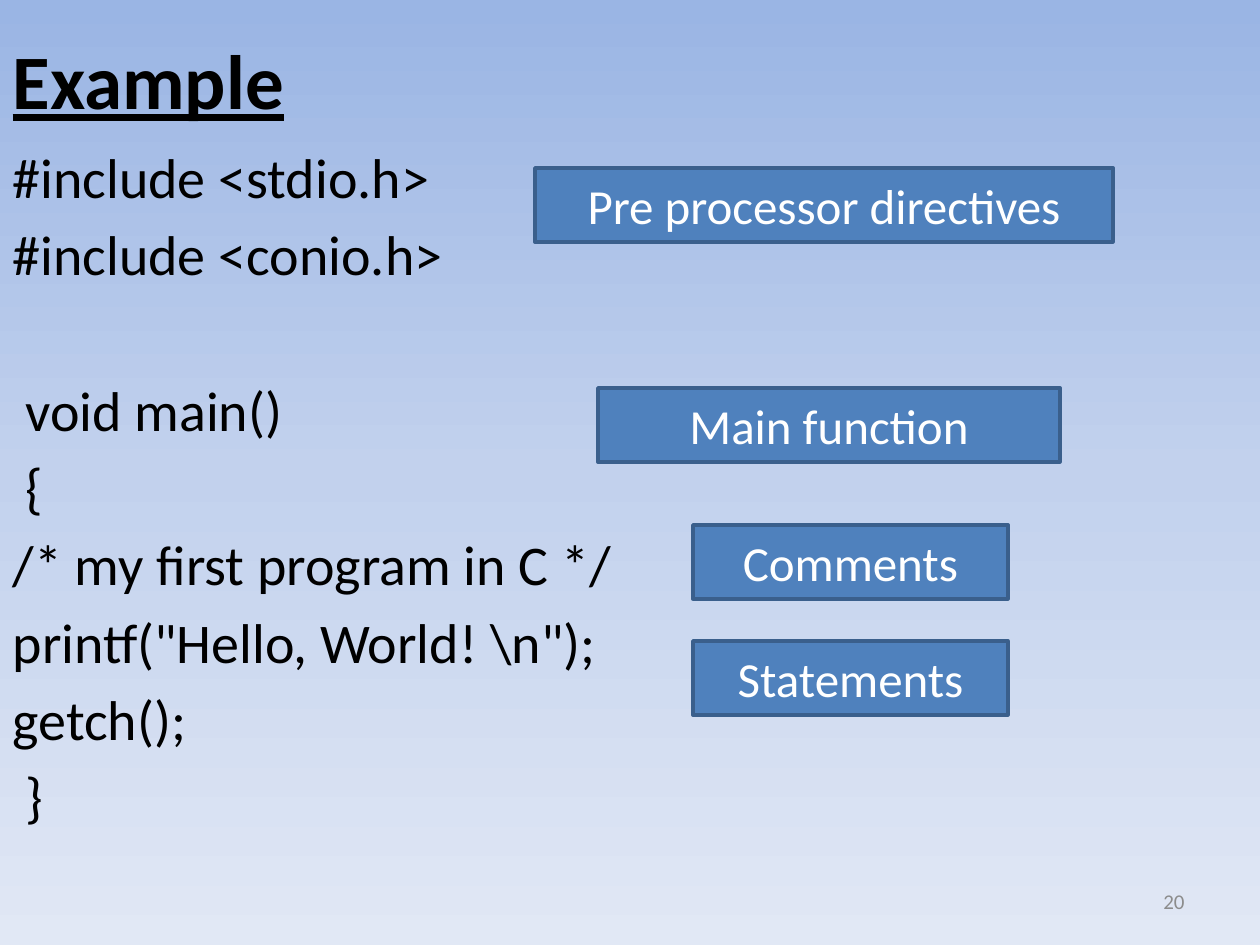
from copy import deepcopy
from dataclasses import dataclass

from pptx import Presentation
from pptx.dml.color import RGBColor
from pptx.enum.shapes import MSO_SHAPE as Shape
from pptx.enum.text import MSO_ANCHOR as Anchor, MSO_AUTO_SIZE as AutoSize, PP_ALIGN as Align
from pptx.oxml import parse_xml
from pptx.oxml.ns import nsdecls, qn
from pptx.util import Emu, Pt

PX_PER_INCH = 126
FONT = "Calibri"
LINE_GAP = 5.75
SECTION_GAP = 50.5


@dataclass(frozen=True)
class Label:
    text: str
    left: int
    top: int
    width: int
    height: int = 74


LABELS = [
    Label("Pre processor directives", 535, 168, 578),
    Label("Main function", 598, 388, 462),
    Label("Comments", 693, 525, 315),
    Label("Statements", 693, 641, 315),
]

CODE_SECTIONS = [
    ["#include <stdio.h>", "#include <conio.h>"],
    [
        " void main()",
        " {",
        "/* my first program in C */",
        'printf("Hello, World! \\n");',
        "getch();",
        " }",
    ],
]


def px(length: int) -> Emu:
    return Emu(round(length * 914400 / PX_PER_INCH))


def color(value: str) -> RGBColor:
    return RGBColor.from_string(value)


def place(shape, left: int, top: int, width: int, height: int) -> None:
    shape.left, shape.top = px(left), px(top)
    shape.width, shape.height = px(width), px(height)


def write(paragraph, text: str, *, size: int, fill: str = "000000", bold: bool = False,
          underline: bool = False, align=Align.LEFT, space_before: float = 0) -> None:
    paragraph.alignment = align
    paragraph.space_before = Pt(space_before)
    run = paragraph.add_run()
    run.text = text
    run.font.name = FONT
    run.font.size = Pt(size)
    run.font.bold = bold
    run.font.underline = underline
    run.font.color.rgb = color(fill)


def prepare_frame(shape, anchor):
    frame = shape.text_frame
    frame.word_wrap = True
    frame.auto_size = AutoSize.NONE
    frame.vertical_anchor = anchor
    return frame


def remove_bullet(paragraph) -> None:
    properties = paragraph._p.get_or_add_pPr()
    properties.set("marL", "0")
    properties.set("indent", "0")
    properties.append(parse_xml(f"<a:buNone {nsdecls('a')}/>"))


def paint_background(slide, top: str, middle: str, bottom: str) -> None:
    fill = slide.background.fill
    fill.gradient()
    fill.gradient_angle = 270
    stop_list = slide.element.find(".//" + qn("a:gsLst"))
    stop_list.insert(1, deepcopy(stop_list[0]))
    for stop, value, position in zip(fill.gradient_stops, (top, middle, bottom), (0, 0.5, 1)):
        stop.color.rgb = color(value)
        stop.position = position


def add_title(slide) -> None:
    title = slide.shapes.title
    place(title, 0, 0, 1134, 158)
    frame = prepare_frame(title, Anchor.MIDDLE)
    write(frame.paragraphs[0], "Example", size=44, bold=True, underline=True)


def add_code(slide) -> None:
    body = slide.placeholders[1]
    place(body, 0, 136, 1260, 809)
    frame = prepare_frame(body, Anchor.TOP)
    paragraph = frame.paragraphs[0]
    for section_index, section in enumerate(CODE_SECTIONS):
        for line_index, line in enumerate(section):
            starts_section = line_index == 0 and section_index > 0
            if section_index or line_index:
                paragraph = frame.add_paragraph()
            write(paragraph, line, size=32,
                  space_before=SECTION_GAP if starts_section else LINE_GAP)
            remove_bullet(paragraph)


def add_label(slide, label: Label) -> None:
    shape = slide.shapes.add_shape(
        Shape.RECTANGLE, px(label.left), px(label.top), px(label.width), px(label.height))
    shape.shadow.inherit = False
    shape.fill.solid()
    shape.fill.fore_color.rgb = color("4F81BD")
    shape.line.color.rgb = color("3A5F8C")
    shape.line.width = Pt(2)
    frame = prepare_frame(shape, Anchor.MIDDLE)
    write(frame.paragraphs[0], label.text, size=28, fill="FFFFFF", align=Align.CENTER)


def add_page_number(slide, number: int) -> None:
    box = slide.shapes.add_textbox(px(903), px(876), px(294), px(50))
    frame = prepare_frame(box, Anchor.MIDDLE)
    write(frame.paragraphs[0], str(number), size=12, fill="8C8C8C", align=Align.RIGHT)


def main() -> None:
    presentation = Presentation()
    presentation.slide_width, presentation.slide_height = px(1260), px(945)
    slide = presentation.slides.add_slide(presentation.slide_layouts[1])
    paint_background(slide, "9AB5E4", "C2D1ED", "E1E8F5")
    add_title(slide)
    add_code(slide)
    for label in LABELS:
        add_label(slide, label)
    add_page_number(slide, 20)
    presentation.save("out.pptx")


if __name__ == "__main__":
    main()
